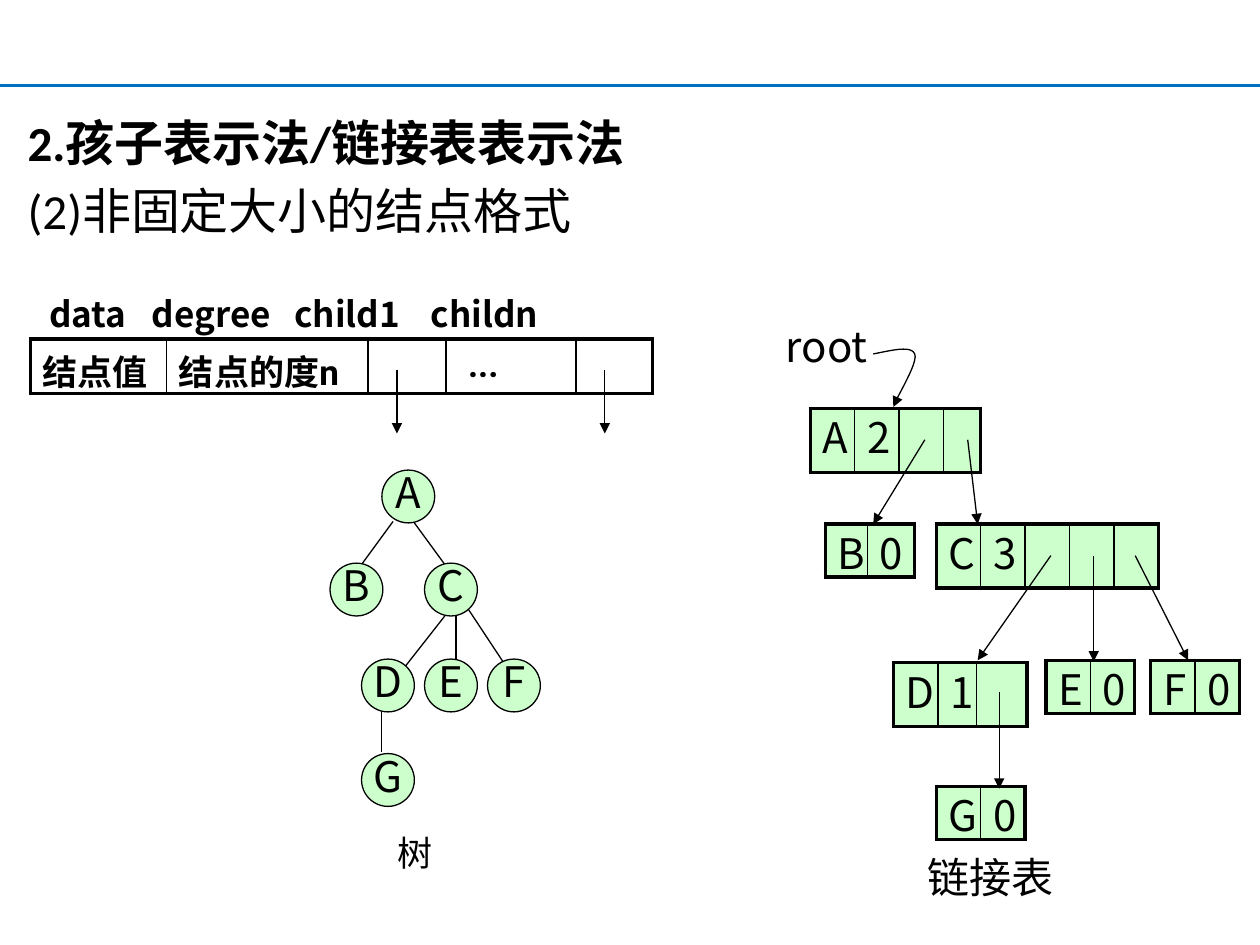
from itertools import accumulate
from typing import NamedTuple

from pptx import Presentation
from pptx.dml.color import RGBColor
from pptx.enum.shapes import MSO_CONNECTOR, MSO_SHAPE
from pptx.enum.text import MSO_ANCHOR, MSO_AUTO_SIZE, PP_ALIGN
from pptx.oxml.ns import qn
from pptx.util import Pt
from lxml.etree import SubElement

HUES = {"ink": "000000", "rule": "0070C0", "node": "CCFFCC"}
SANS = "Noto Sans CJK SC"
SIZE = 30.2  # circle width and row height
COL = 25.4  # usual cell width


class Node(NamedTuple):
    name: str
    x: float
    y: float


class Edge(NamedTuple):
    x1: float
    y1: float
    x2: float
    y2: float


class Record(NamedTuple):
    x: float
    y: float
    cells: list[str]
    cols: list[float]


TREE = [
    Node("A", 218.2, 268.6),
    Node("B", 188.6, 321.8), Node("C", 242.6, 321.8),
    Node("D", 206.6, 376.6), Node("E", 242.6, 376.6), Node("F", 278.6, 376.6),
    Node("G", 206.6, 430.6),
]
LINKS = [
    Edge(224.6, 298, 206.6, 322.6), Edge(236.2, 298, 254.2, 322.6),
    Edge(254.2, 352, 230.4, 382.3), Edge(260.6, 352, 260.6, 376.6),
    Edge(266.4, 346.3, 290.2, 382.3), Edge(218.2, 405.4, 218.2, 429.8),
]
LISTS = [
    Record(463, 233.3, ["A", "2", "", ""], [COL, COL, COL, 21]),
    Record(471.6, 299.5, ["B", "0"], [24, 27]),
    Record(535, 299.5, ["C", "3", "", "", ""], [COL] * 5),
    Record(510.5, 378.7, ["D", "1", ""], [COL, 22.2, 28.8]),
    Record(597.6, 377.3, ["E", "0"], [COL] * 2),
    Record(657.4, 377.3, ["F", "0"], [COL] * 2),
    Record(535, 449.3, ["G", "0"], [COL] * 2),
]
FIELDS = Record(17.3, 193.7, ["结点值", "结点的度n", "", "...", ""],
                [77.8, 115.2, 44.6, 74.2, 43.9])
ARROWS = [
    Edge(528.5, 251.3, 499, 299.5), Edge(553, 251.3, 558.7, 299.5),
    Edge(600.5, 317.5, 558.7, 377.3), Edge(625, 317.5, 625, 378),
    Edge(648.7, 317.5, 679, 377.3), Edge(571, 395.3, 571, 450.7),
    Edge(345.6, 211.7, 345.6, 247.7), Edge(226.8, 211.7, 226.8, 247.7),
]
# Bezier control points of the arrow from the root label
CURVE = [
    [(499, 202.3), (509.8, 200.2), (520.6, 197.3), (522.7, 202.3)],
    [(522.7, 202.3), (524.9, 207.4), (511.9, 227.5), (510.5, 232.6)],
]


def hue(key: str) -> RGBColor:
    return RGBColor.from_string(HUES[key])


def style(para, size: float, font: str = SANS, bold: bool = False) -> None:
    para.font.size = Pt(size)
    para.font.name = font
    para.font.bold = bold
    para.font.color.rgb = hue("ink")


def pen(shape, key: str = "ink", width: float = 0.75, head: bool = False) -> None:
    shape.line.color.rgb = hue(key)
    shape.line.width = Pt(width)
    if head:
        SubElement(shape.line._get_or_add_ln(), qn("a:tailEnd"), type="triangle")


def link(shapes, edge: Edge, key: str = "ink", width: float = 0.75,
         head: bool = False) -> None:
    line = shapes.add_connector(MSO_CONNECTOR.STRAIGHT, *map(Pt, edge))
    pen(line, key, width, head)
    SubElement(line._element.spPr, qn("a:effectLst"))


def label(shapes, text: str, x: float, y: float, w: float, h: float, size: float):
    frame = shapes.add_textbox(Pt(x), Pt(y), Pt(w), Pt(h)).text_frame
    frame.word_wrap = False
    frame.auto_size = MSO_AUTO_SIZE.SHAPE_TO_FIT_TEXT
    para = frame.paragraphs[0]
    para.text = text
    style(para, size)
    return frame


def circle(shapes, node: Node) -> None:
    shape = shapes.add_shape(MSO_SHAPE.OVAL, Pt(node.x), Pt(node.y), Pt(SIZE), Pt(SIZE))
    shape.shadow.inherit = False
    shape.fill.solid()
    shape.fill.fore_color.rgb = hue("node")
    pen(shape)
    frame = shape.text_frame
    frame.word_wrap = False
    frame.vertical_anchor = MSO_ANCHOR.MIDDLE
    para = frame.paragraphs[0]
    para.text = node.name
    para.alignment = PP_ALIGN.CENTER
    para.line_spacing = 0.8
    style(para, 24)


def border(cell, side: str, width: float) -> None:
    line = SubElement(cell._tc.get_or_add_tcPr(), qn(f"a:ln{side}"), w=str(Pt(width)))
    fill = SubElement(line, qn("a:solidFill"))
    SubElement(fill, qn("a:srgbClr"), val=HUES["ink"])


def record(shapes, rec: Record, green: bool = True):
    # Empty cells hold a full line and make their row taller
    high = 36.6 if green and "" in rec.cells else SIZE if green else 31
    table = shapes.add_table(1, len(rec.cols), Pt(rec.x), Pt(rec.y),
                             Pt(sum(rec.cols)), Pt(high)).table
    table.first_row = table.horz_banding = False
    last = len(rec.cols) - 1
    for i, (text, wide) in enumerate(zip(rec.cells, rec.cols)):
        table.columns[i].width = Pt(wide)
        cell = table.cell(0, i)
        border(cell, "L", 2.25 if i == 0 else 1)
        border(cell, "R", 2.25 if i == last else 1)
        border(cell, "T", 2.25)
        border(cell, "B", 2.25)
        para = cell.text_frame.paragraphs[0]
        para.text = text
        if green:
            cell.fill.solid()
            cell.fill.fore_color.rgb = hue("node")
            para.line_spacing = 0.8
            style(para, 24)
        else:
            cell.fill.background()
            style(para, 20, "Roboto", True)
    return table


def bezier(pts: list, t: float) -> tuple:
    parts = ((1 - t) ** 3, 3 * t * (1 - t) ** 2, 3 * t * t * (1 - t), t ** 3)
    return tuple(Pt(sum(k * p[axis] for k, p in zip(parts, pts))) for axis in (0, 1))


def main() -> None:
    deck = Presentation()
    deck.slide_width, deck.slide_height = Pt(720), Pt(540)
    slide = deck.slides.add_slide(deck.slide_layouts[5])
    shapes = slide.shapes
    link(shapes, Edge(0, 49, 720, 49), "rule", 1.5)

    # Heading
    title = shapes.title
    title.left, title.top, title.width, title.height = map(Pt, (8.6, 60.5, 417, 77.8))
    frame = title.text_frame
    frame.vertical_anchor = MSO_ANCHOR.TOP
    frame.auto_size = MSO_AUTO_SIZE.NONE
    frame.text = "2.孩子表示法/链接表表示法\n(2)非固定大小的结点格式"
    for i, para in enumerate(frame.paragraphs):
        para.alignment = PP_ALIGN.LEFT
        para.space_before = Pt(5.6 * i)
        style(para, 28, "Calibri", i == 0)

    # Tree
    for edge in LINKS:
        link(shapes, edge)
    for node in TREE:
        circle(shapes, node)
    label(shapes, "树", 220.3, 471.6, 34.6, 31, 20)

    # Node format
    table = record(shapes, FIELDS, False)
    table.cell(0, 3).margin_left = Pt(12.6)
    frame = label(shapes, "data\tdegree\tchild1\tchildn", 17.3, 163.4, 355.7, 31, 20)
    frame.word_wrap = True
    frame.margin_left = Pt(10.8)
    para = frame.paragraphs[0]
    props = para._p.get_or_add_pPr()
    stops = SubElement(props, qn("a:tabLst"))
    for stop in accumulate((58.8, 81.2, 78)):
        SubElement(stops, qn("a:tab"), pos=str(Pt(stop)), algn="l")
    props.insert(0, stops)
    para.font.bold = True

    # Linked lists
    for rec in LISTS:
        record(shapes, rec)
    for edge in ARROWS:
        link(shapes, edge, head=True)
    label(shapes, "root", 442, 185, 62.6, 30.2, 24).paragraphs[0].line_spacing = 0.8
    label(shapes, "链接表", 522.7, 483, 86.4, 36, 24)

    # Curved arrow
    dots = [bezier(pts, n / 12) for pts in CURVE for n in range(13)]
    path = shapes.build_freeform(*dots[0])
    path.add_line_segments(dots[1:], close=False)
    curve = path.convert_to_shape()
    curve.shadow.inherit = False
    curve.fill.background()
    pen(curve, head=True)

    deck.save("out.pptx")


if __name__ == "__main__":
    main()
